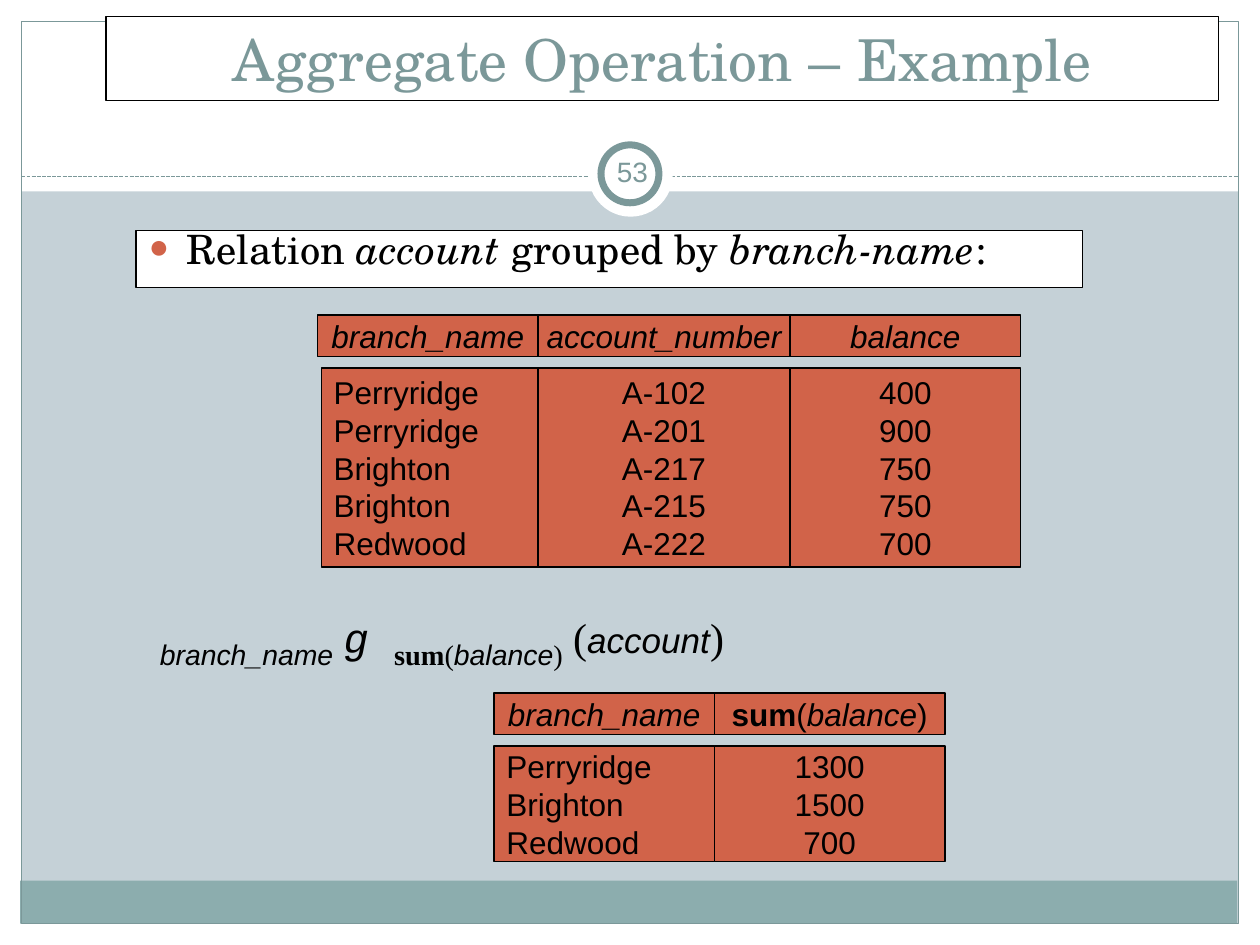
"""Build the slide on grouping and summing an account relation."""
from dataclasses import dataclass

from lxml import etree
from pptx import Presentation
from pptx.dml.color import RGBColor
from pptx.enum.dml import MSO_LINE
from pptx.enum.shapes import MSO_CONNECTOR, MSO_SHAPE
from pptx.enum.text import MSO_ANCHOR, MSO_AUTO_SIZE, PP_ALIGN
from pptx.oxml.ns import qn
from pptx.util import Inches, Pt

RECTANGLE, OVAL = MSO_SHAPE.RECTANGLE, MSO_SHAPE.OVAL
STRAIGHT, DASH = MSO_CONNECTOR.STRAIGHT, MSO_LINE.SQUARE_DOT
LEFT, CENTER = PP_ALIGN.LEFT, PP_ALIGN.CENTER
TOP, MIDDLE = MSO_ANCHOR.TOP, MSO_ANCHOR.MIDDLE
NO_FIT = MSO_AUTO_SIZE.NONE


@dataclass(frozen=True)
class Theme:
    ground: RGBColor = RGBColor.from_string("C5D1D7")
    white: RGBColor = RGBColor.from_string("FFFFFF")
    black: RGBColor = RGBColor.from_string("000000")
    teal: RGBColor = RGBColor.from_string("7B9899")
    footer: RGBColor = RGBColor.from_string("8CADAE")
    accent: RGBColor = RGBColor.from_string("D16349")
    serif: str = "TeX Gyre Schola"
    sans: str = "Arial"
    roman: str = "Times New Roman"
    mono: str = "Courier New"
    title: float = 33
    body: float = 23.1
    cell: float = 18
    number: float = 16
    subscript: float = 28
    formula: float = 24
    argument: float = 20


theme = Theme()


def add_panel(page, place, fill=None, line=None, width=0.75, kind=RECTANGLE):
    panel = page.shapes.add_shape(kind, *map(Inches, place))
    panel.shadow.inherit = False
    if fill is None:
        panel.fill.background()
    else:
        panel.fill.solid()
        panel.fill.fore_color.rgb = fill
    if line is None:
        panel.line.fill.background()
    else:
        panel.line.color.rgb = line
        panel.line.width = Pt(width)
    return panel


def write(para, spans, font, size, color, align=LEFT):
    para.alignment = align
    para.font.name, para.font.size = font, Pt(size)
    para.font.color.rgb = color
    for text, style in spans:
        span = para.add_run()
        span.text = text
        span.font.italic = True if "i" in style else None
        span.font.bold = True if "b" in style else None


deck = Presentation()
deck.slide_width, deck.slide_height = Inches(10), Inches(7.5)
page = deck.slides.add_slide(deck.slide_layouts[1])
page.background.fill.solid()
page.background.fill.fore_color.rgb = theme.ground

margins = [(0, 7.33, 10, 0.17), (0, 0, 10, 1.52), (0, 0, 0.17, 7.5), (9.83, 0, 0.17, 7.5)]
for place in margins:
    add_panel(page, place, theme.white)
add_panel(page, (0.16, 6.99, 9.66, 0.34), theme.footer)
add_panel(page, (0.17, 0.17, 9.66, 7.16), line=theme.teal)

divider = page.shapes.add_connector(STRAIGHT, Inches(0.17), Inches(1.4), Inches(9.83), Inches(1.4))
divider.line.color.rgb = theme.teal
divider.line.width = Pt(0.75)
divider.line.dash_style = DASH
etree.SubElement(divider.element.spPr, qn("a:effectLst"))

add_panel(page, (4.67, 1.05, 0.67, 0.67), theme.white, kind=OVAL)
add_panel(page, (4.77, 1.15, 0.46, 0.46), theme.white, theme.teal, 4, OVAL)

title, body = page.shapes.title, page.placeholders[1]
for box, place, anchor in [
    (title, (0.84, 0.13, 8.83, 0.67), MIDDLE),
    (body, (1.08, 1.83, 7.51, 0.45), TOP),
]:
    box.element.getparent().append(box.element)
    box.left, box.top, box.width, box.height = map(Inches, place)
    box.fill.solid()
    box.fill.fore_color.rgb = theme.white
    box.line.color.rgb = theme.black
    box.line.width = Pt(0.75)
    box.text_frame.auto_size = NO_FIT
    box.text_frame.vertical_anchor = anchor
title.text_frame.margin_top = title.text_frame.margin_bottom = 0
write(title.text_frame.paragraphs[0], [("Aggregate Operation – Example", "")],
      theme.serif, theme.title, theme.teal, CENTER)

para = body.text_frame.paragraphs[0]
layout = para._p.get_or_add_pPr()
layout.set("marL", str(Inches(0.3)))
layout.set("indent", str(Inches(-0.3)))
bullet_color = etree.SubElement(layout, qn("a:buClr"))
etree.SubElement(bullet_color, qn("a:srgbClr"), val=str(theme.accent))
etree.SubElement(layout, qn("a:buSzPct"), val="85000")
etree.SubElement(layout, qn("a:buChar"), char="●")
para.line_spacing = 0.7
para.space_before = Pt(0)
write(para, [("Relation ", ""), ("account", "i"), (" grouped by ", ""), ("branch-name", "i"), (":", "")],
      theme.serif, theme.body, theme.black)

formula = page.shapes.add_textbox(Inches(1.17), Inches(4.75), Inches(7.69), Inches(0.64))
formula.text_frame.word_wrap = True
para = formula.text_frame.paragraphs[0]
for text, font, size, style in [
    ("branch_name", theme.sans, theme.subscript, "i"),
    (" ", theme.roman, theme.formula, ""),
    ("g ", theme.mono, theme.formula, "i"),
    ("sum", theme.roman, theme.subscript, "b"),
    ("(", theme.roman, theme.subscript, ""),
    ("balance", theme.sans, theme.subscript, "i"),
    (")", theme.roman, theme.subscript, ""),
    (" (", theme.roman, theme.formula, ""),
    ("account", theme.sans, theme.argument, "i"),
    (")", theme.roman, theme.formula, ""),
]:
    span = para.add_run()
    span.text = text
    span.font.name, span.font.size = font, Pt(size)
    span.font.color.rgb = theme.black
    span.font.italic, span.font.bold = "i" in style, "b" in style
    if size == theme.subscript:
        span._r.get_or_add_rPr().set("baseline", "-25000")

branch, number, balance = [[(name, "i")] for name in ("branch_name", "account_number", "balance")]
total = [("sum", "b"), ("(", ""), ("balance", "i"), (")", "")]
account_columns = [
    (2.52, 2.55, 1.75, branch, ["Perryridge", "Perryridge", "Brighton", "Brighton", "Redwood"]),
    (4.27, 4.27, 2, number, ["A-102", "A-201", "A-217", "A-215", "A-222"]),
    (6.27, 6.27, 1.83, balance, ["400", "900", "750", "750", "700"]),
]
total_columns = [
    (3.92, 3.92, 1.75, branch, ["Perryridge", "Brighton", "Redwood"]),
    (5.67, 5.67, 1.83, total, ["1300", "1500", "700"]),
]
for top, height, columns in [(2.5, 1.58, account_columns), (5.5, 0.92, total_columns)]:
    for head_left, left, width, heading, values in columns:
        value_align = LEFT if heading is branch else CENTER
        rows = [[(value, "")] for value in values]
        for place, lines, align in [
            ((head_left, top, width, 0.33), [heading], CENTER),
            ((left, top + 0.42, width, height), rows, value_align),
        ]:
            frame = add_panel(page, place, theme.accent, theme.black).text_frame
            frame.word_wrap = align == LEFT
            frame.vertical_anchor = MIDDLE
            for index, spans in enumerate(lines):
                para = frame.add_paragraph() if index else frame.paragraphs[0]
                write(para, spans, theme.sans, theme.cell, theme.black, align)

page_number = page.shapes.add_textbox(Inches(4.77), Inches(1.12), Inches(0.5), Inches(0.48)).text_frame
page_number.word_wrap = True
page_number.vertical_anchor = MIDDLE
page_number.margin_left = page_number.margin_right = Inches(0.05)
write(page_number.paragraphs[0], [("53", "")], theme.sans, theme.number, theme.teal, CENTER)

deck.save("out.pptx")
